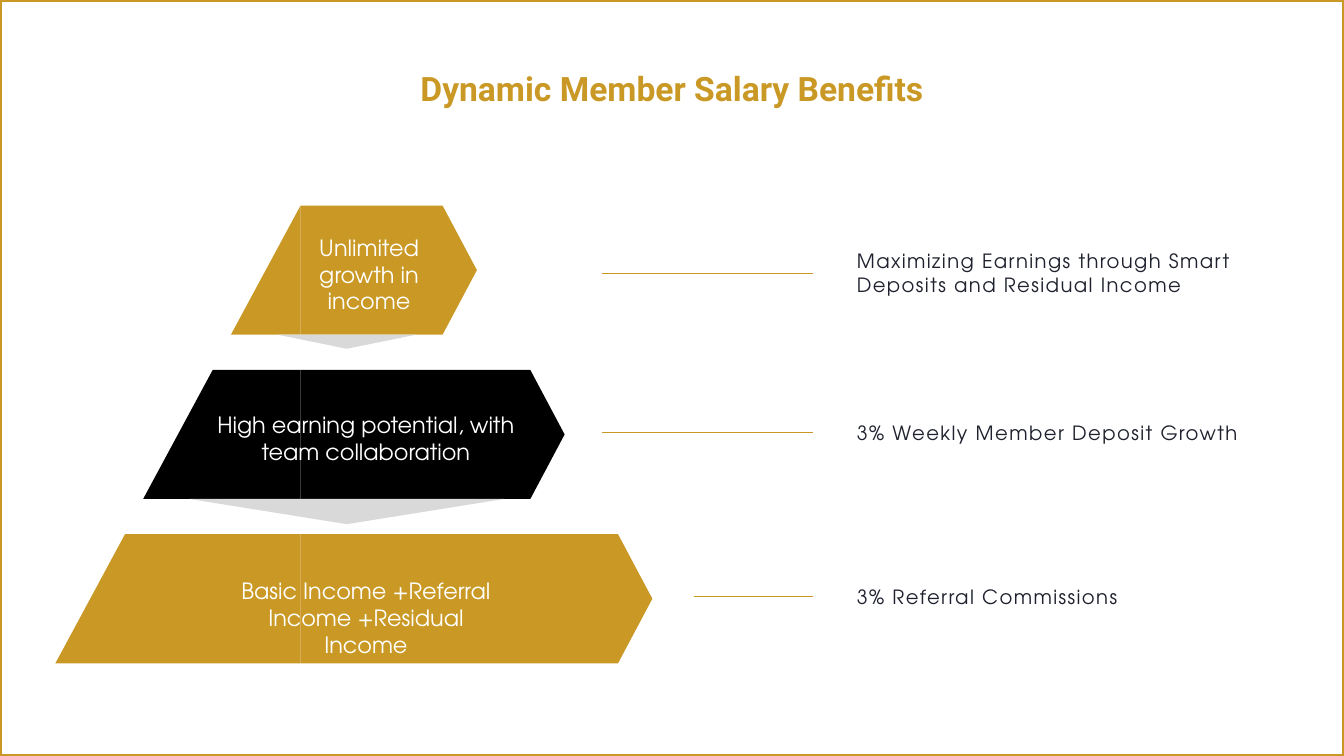
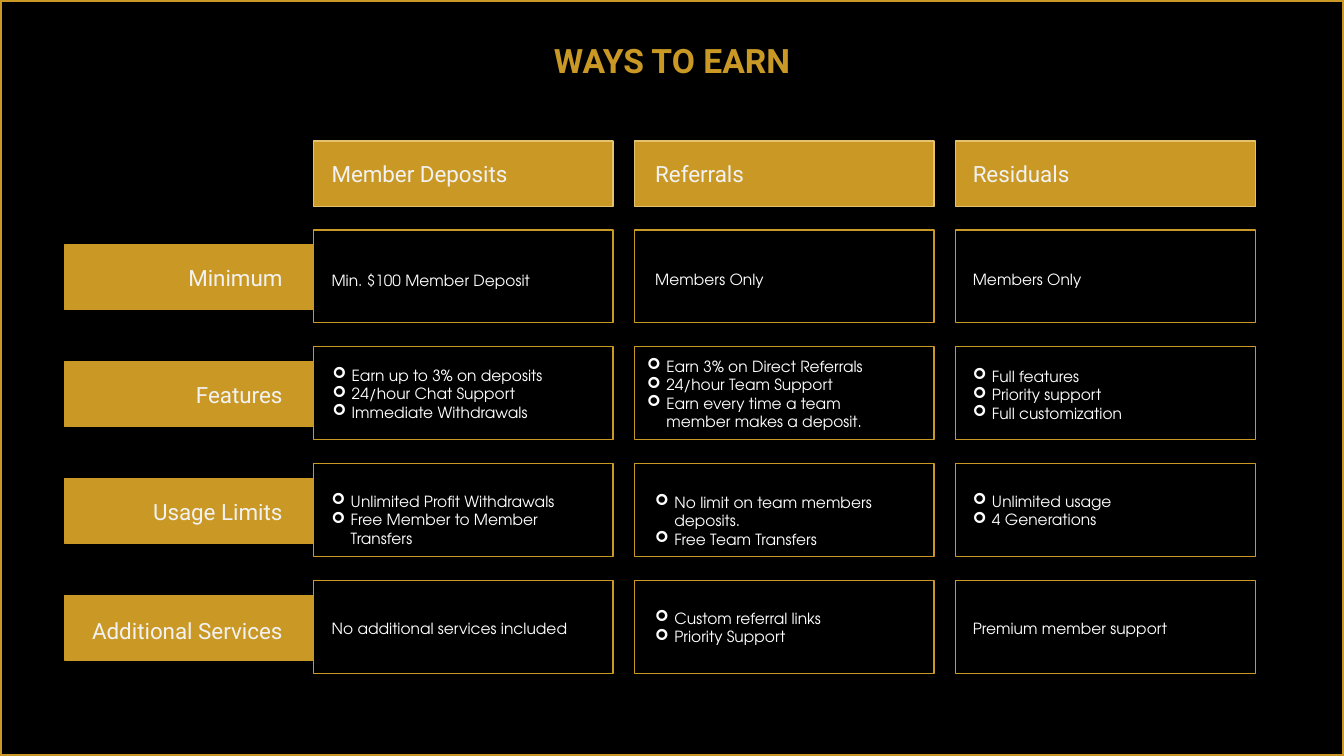
"""Build two slides: a member benefits pyramid and a grid of ways to earn."""
from lxml import etree
from pptx import Presentation
from pptx.dml.color import RGBColor
from pptx.enum.shapes import MSO_CONNECTOR, MSO_SHAPE
from pptx.enum.text import PP_ALIGN
from pptx.oxml.ns import qn
from pptx.util import Inches, Pt

RECTANGLE = MSO_SHAPE.RECTANGLE
STRAIGHT = MSO_CONNECTOR.STRAIGHT
LEFT, CENTER, RIGHT = PP_ALIGN.LEFT, PP_ALIGN.CENTER, PP_ALIGN.RIGHT

COLORS = {
    "gold": "CA9925", "light_gold": "E4C26E", "black": "000000",
    "white": "FFFFFF", "off_white": "F2F2F2", "gray": "D9D9D9", "ink": "1F222E",
}
HEADING_FONT, BODY_FONT, BULLET_FONT = "Roboto", "TeX Gyre Adventor", "Wingdings"
SLIDE_WIDTH, SLIDE_HEIGHT = 13.33, 7.5

TIERS = [
    {"text": "Unlimited growth in income", "box": (2.99, 2.27, 1.34, 0.91),
     "color": "gold", "arrow": (0.69, 0.14), "rule": (5.97, 2.71),
     "note": ["Maximizing Earnings through Smart", "Deposits and Residual Income"],
     "note_top": 2.42},
    {"text": "High earning potential, with team collaboration",
     "box": (1.96, 4.03, 3.34, 0.64),
     "color": "black", "arrow": (1.56, 0.25), "rule": (5.97, 4.29),
     "note": ["3% Weekly Member Deposit Growth"], "note_top": 4.13},
    {"text": "Basic Income +Referral Income +Residual Income",
     "box": (2.16, 5.68, 2.94, 0.64),
     "color": "gold", "arrow": None, "rule": (6.88, 5.92),
     "note": ["3% Referral Commissions"], "note_top": 5.75},
]
TIER_TOP, TIER_PITCH, TIER_HEIGHT = 2.04, 1.63, 1.28
TIER_LEFT, TIER_RIGHT, TIER_SPREAD = 2.29, 4.39, 0.87
TIER_SLANT, TIER_TIP, PYRAMID_CENTER = 0.69, 0.34, 3.44
SEAM = TIER_LEFT + TIER_SLANT
RULE_END, NOTE_LEFT = 8.06, 8.4

COLUMNS = [("Member Deposits", 3.19), ("Referrals", 6.4), ("Residuals", 9.55)]
ROWS = [
    ("Minimum", 2.57, [
        (3.19, 2.64, ["Min. $100 Member Deposit"]),
        (6.4, 2.63, ["Members Only"]),
        (9.55, 2.63, ["Members Only"])]),
    ("Features", 3.73, [
        (3.2, 3.58, ["Earn up to 3% on deposits", "24/hour Chat Support",
                     "Immediate Withdrawals"]),
        (6.32, 3.49, ["Earn 3% on Direct Referrals", "24/hour Team Support",
                      "Earn every time a team member makes a deposit."]),
        (9.55, 3.59, ["Full features", "Priority support", "Full customization"])]),
    ("Usage Limits", 4.89, [
        (3.19, 4.83, ["Unlimited Profit Withdrawals",
                      "Free Member to Member Transfers"]),
        (6.4, 4.84, ["No limit on team members deposits.", "Free Team Transfers"]),
        (9.55, 4.83, ["Unlimited usage", "4 Generations"])]),
    ("Additional Services", 6.07, [
        (3.19, 6.09, ["No additional services included"]),
        (6.4, 5.99, ["Custom referral links", "Priority Support"]),
        (9.55, 6.09, ["Premium member support"])]),
]
CARD_LEFT, CARD_LAST_LEFT, CARD_WIDTH, CARD_HEIGHT = 3.11, 9.48, 2.97, 0.92
CARD_PITCH = (CARD_LAST_LEFT - CARD_LEFT) / (len(COLUMNS) - 1)
CARD_TOP, ROW_PITCH = 2.28, 1.16
HEADER_TOP, HEADER_HEIGHT = 1.4, 0.65
LABEL_LEFT, LABEL_WIDTH, LABEL_HEIGHT, LABEL_OFFSET = 0.64, 2.63, 0.64, 0.15


def rgb(name):
    return RGBColor.from_string(COLORS[name])


def style_shape(shape, fill=None, line=None, weight=1):
    shape.shadow.inherit = False
    if fill:
        shape.fill.solid()
        shape.fill.fore_color.rgb = rgb(fill)
    else:
        shape.fill.background()
    if line:
        shape.line.color.rgb = rgb(line)
        shape.line.width = Pt(weight)
    else:
        shape.line.fill.background()


def add_rectangle(page, area, fill=None, line=None, weight=1):
    shape = page.shapes.add_shape(RECTANGLE, *map(Inches, area))
    style_shape(shape, fill, line, weight)


def add_polygon(page, points, fill):
    corners = [(Inches(x), Inches(y)) for x, y in points]
    builder = page.shapes.build_freeform(*corners[0], scale=1.0)
    builder.add_line_segments(corners[1:], close=True)
    style_shape(builder.convert_to_shape(), fill)


def add_rule(page, left, right, top):
    rule = page.shapes.add_connector(
        STRAIGHT, Inches(left), Inches(top), Inches(right), Inches(top))
    rule.line.color.rgb = rgb("gold")
    rule.line.width = Pt(0.5)
    etree.SubElement(rule._element.spPr, qn("a:effectLst"))


def add_bullet(paragraph):
    properties = paragraph._p.get_or_add_pPr()
    properties.set("marL", str(Inches(0.19)))
    properties.set("indent", str(-Inches(0.19)))
    etree.SubElement(properties, qn("a:buFont")).set("typeface", BULLET_FONT)
    etree.SubElement(properties, qn("a:buChar")).set("char", "➢")


def add_text(page, area, lines, size, color, font=BODY_FONT, align=LEFT,
             bold=False, spacing=0, bullets=False):
    frame = page.shapes.add_textbox(*map(Inches, area)).text_frame
    frame.word_wrap = True
    frame.text = "\n".join(lines)
    for paragraph in frame.paragraphs:
        paragraph.alignment = align
        if bullets:
            add_bullet(paragraph)
        for run in paragraph.runs:
            run.font.name = font
            run.font.size = Pt(size)
            run.font.bold = bold
            run.font.color.rgb = rgb(color)
            if spacing:
                run._r.get_or_add_rPr().set("spc", str(spacing * 100))


def add_page(deck, background, title, title_top):
    page = deck.slides.add_slide(deck.slide_layouts[6])
    page.background.fill.solid()
    page.background.fill.fore_color.rgb = rgb(background)
    add_rectangle(page, (0, 0, SLIDE_WIDTH, SLIDE_HEIGHT), line="gold", weight=3)
    add_text(page, (0.55, title_top, 12.23, 0.5), [title], 24, "gold",
             HEADING_FONT, CENTER, bold=True)
    return page


def build_pyramid(deck):
    page = add_page(deck, "white", "Dynamic Member Salary Benefits", 0.62)
    for index, tier in enumerate(TIERS):
        top = TIER_TOP + index * TIER_PITCH
        bottom = top + TIER_HEIGHT
        left = TIER_LEFT - index * TIER_SPREAD
        right = TIER_RIGHT + index * TIER_SPREAD
        add_polygon(page, [
            (SEAM, top), (right, top), (right + TIER_TIP, top + TIER_HEIGHT / 2),
            (right, bottom), (SEAM, bottom)], tier["color"])
        add_polygon(page, [
            (SEAM, top), (SEAM, bottom), (left, bottom),
            (left + TIER_SLANT, top)], tier["color"])
        if tier["arrow"]:
            half, depth = tier["arrow"]
            add_polygon(page, [
                (PYRAMID_CENTER - half, bottom), (PYRAMID_CENTER + half, bottom),
                (PYRAMID_CENTER, bottom + depth)], "gray")
        add_text(page, tier["box"], [tier["text"]], 16, "white", align=CENTER)
        rule_left, rule_top = tier["rule"]
        add_rule(page, rule_left, RULE_END, rule_top)
        note_height = 0.11 + 0.23 * len(tier["note"])
        add_text(page, (NOTE_LEFT, tier["note_top"], 4.6, note_height),
                 tier["note"], 14, "ink", spacing=1)


def build_grid(deck):
    page = add_page(deck, "black", "WAYS TO EARN", 0.35)
    card_lefts = [CARD_LEFT + i * CARD_PITCH for i in range(len(COLUMNS))]
    for card_left, (name, text_left) in zip(card_lefts, COLUMNS):
        add_rectangle(page, (card_left, HEADER_TOP, CARD_WIDTH, HEADER_HEIGHT),
                      "gold", "light_gold")
        add_text(page, (text_left, 1.54, 2.5, 0.37), [name], 16, "off_white",
                 HEADING_FONT)
    for index, (label, label_top, cells) in enumerate(ROWS):
        top = CARD_TOP + index * ROW_PITCH
        add_rectangle(page, (LABEL_LEFT, top + LABEL_OFFSET, LABEL_WIDTH, LABEL_HEIGHT),
                      "gold", "gold")
        add_text(page, (0.38, label_top, 2.52, 0.37), [label], 16, "off_white",
                 HEADING_FONT, RIGHT)
        for card_left, (text_left, text_top, lines) in zip(card_lefts, cells):
            add_rectangle(page, (card_left, top, CARD_WIDTH, CARD_HEIGHT),
                          "black", "gold")
            add_text(page, (text_left, text_top, 2.79, 0.11 + 0.18 * len(lines)),
                     lines, 11, "white", bullets=len(lines) > 1)


def main():
    deck = Presentation()
    deck.slide_width = Inches(SLIDE_WIDTH)
    deck.slide_height = Inches(SLIDE_HEIGHT)
    build_pyramid(deck)
    build_grid(deck)
    deck.save("out.pptx")


if __name__ == "__main__":
    main()
